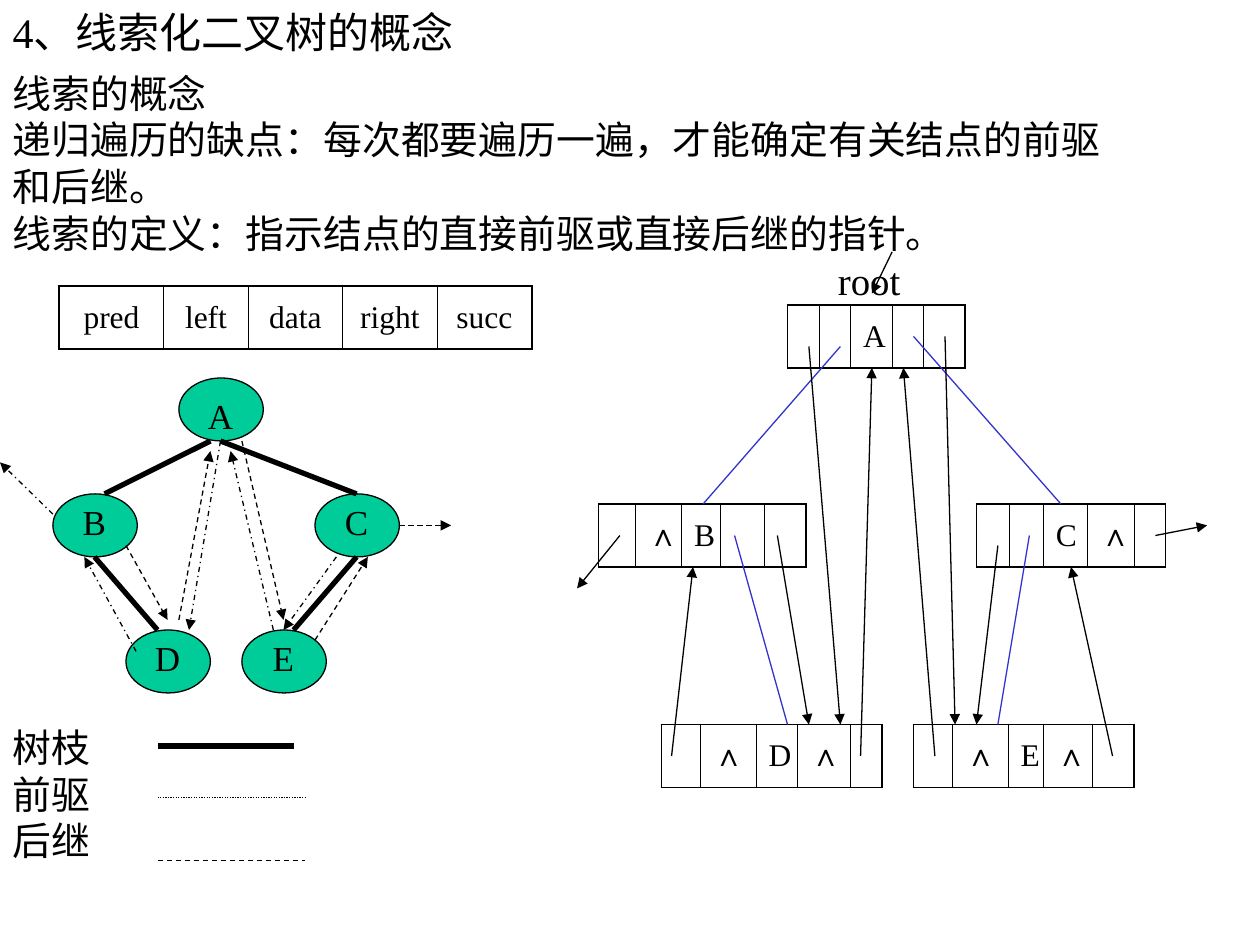
"""Builds the slide that introduces threaded binary trees."""
from lxml import etree
from pptx import Presentation
from pptx.dml.color import RGBColor
from pptx.enum.dml import MSO_LINE
from pptx.enum.shapes import MSO_CONNECTOR, MSO_SHAPE
from pptx.enum.text import MSO_ANCHOR, MSO_AUTO_SIZE, PP_ALIGN
from pptx.oxml.ns import qn
from pptx.util import Inches, Pt

BLACK = RGBColor(0x00, 0x00, 0x00)
GREEN = RGBColor(0x00, 0xCC, 0x99)
BLUE = RGBColor(0x33, 0x33, 0xCC)
FONT = "Times New Roman"
STRAIGHT = MSO_CONNECTOR.STRAIGHT
OVAL = MSO_SHAPE.OVAL
DASH, DASH_DOT, DOT = MSO_LINE.DASH, MSO_LINE.DASH_DOT, MSO_LINE.ROUND_DOT
MIDDLE, TOP = MSO_ANCHOR.MIDDLE, MSO_ANCHOR.TOP
LEFT, CENTER = PP_ALIGN.LEFT, PP_ALIGN.CENTER
NO_AUTOFIT = MSO_AUTO_SIZE.NONE
BODY_SIZE, LINE_PITCH = 22.2, 26.7
THICK, THIN = 3, 0.75
OUTER_BORDER, INNER_BORDER = 1.08, 0.45
ROW_HEIGHT = 0.5
NODE_WIDTH, NODE_HEIGHT = 0.67, 0.5

BODY_LINES = [
    ("线索的概念", 0, 0),
    ("递归遍历的缺点：每次都要遍历一遍，才能确定有关结点的前驱", 0, 0),
    ("和后继。", 0, 0),
    ("线索的定义：指示结点的直接前驱或直接后继的指针。", 0, 0),
    ("root", 6.55, 0),
    ("树枝", 0, 9),
    ("前驱", 0, 0),
    ("后继", 0, 0),
]
TREE_NODES = [
    ("A", 1.42, 3, 0.08), ("B", 0.42, 3.92, 0), ("C", 2.5, 3.92, 0),
    ("D", 1, 5, 0), ("E", 1.92, 5, 0),
]
BRANCHES = [
    (1.67, 3.5, 0.83, 3.92), (1.75, 3.5, 2.83, 3.92),
    (0.75, 4.42, 1.25, 5), (2.83, 4.42, 2.33, 5),
]
PREDECESSORS = [
    (0.42, 4.08, 0, 3.67), (1.08, 5.17, 0.67, 4.42), (1.75, 3.5, 1.5, 5),
    (2.17, 5, 1.83, 3.58), (2.67, 4.42, 2.25, 5),
]
SUCCESSORS = [
    (3.17, 4.17, 3.58, 4.17), (2.5, 5.08, 2.92, 4.42), (1.92, 3.5, 2.25, 4.92),
    (1.42, 4.92, 1.67, 3.58), (1, 4.33, 1.33, 4.92),
]
RECORDS = [
    (0.47, 2.27, [0.83, 0.67, 0.75, 0.75, 0.75], ["pred", "left", "data", "right", "succ"]),
    (6.25, 2.42, [0.25, 0.25, 0.33, 0.25, 0.33], ["", "", "A", "", ""]),
    (4.75, 4, [0.29, 0.37, 0.31, 0.35, 0.33], ["", "∧", "B", "", ""]),
    (7.75, 4, [0.26, 0.27, 0.35, 0.37, 0.25], ["", "", "C", "∧", ""]),
    (5.25, 5.75, [0.31, 0.44, 0.33, 0.42, 0.25], ["", "∧", "D", "∧", ""]),
    (7.25, 5.75, [0.31, 0.44, 0.28, 0.39, 0.33], ["", "∧", "E", "∧", ""]),
]
CHILD_LINKS = [
    (6.67, 2.75, 5.58, 4), (7.25, 2.67, 8.42, 4),
    (5.83, 4.25, 6.25, 5.75), (8.17, 4.25, 7.92, 5.75),
]
THREADS = [
    (6.17, 4.25, 6.42, 5.75), (5.33, 6, 5.5, 4.5), (6.83, 6, 6.92, 2.92),
    (6.42, 2.75, 6.67, 5.75), (7.42, 6, 7.17, 2.92), (8.83, 6, 8.5, 4.5),
    (7.92, 4.33, 7.75, 5.75), (7.5, 2.67, 7.58, 5.75), (4.92, 4.25, 4.58, 4.67),
    (9.17, 4.25, 9.58, 4.17), (7.08, 2, 6.92, 2.33),
]


class SlideBuilder:
    """Holds the text style and the current slide."""

    def __init__(self, slide, font=FONT, color=BLACK):
        self.slide = slide
        self.font = font
        self.color = color

    def add_text(self, paragraph, text, size, align=LEFT):
        """Add one styled run to a paragraph."""
        paragraph.alignment = align
        paragraph.font.size = Pt(size)
        if text:
            run = paragraph.add_run()
            run.text = text
            run.font.name = self.font
            run.font.size = Pt(size)
            run.font.color.rgb = self.color

    def place(self, shape, left, top, width, height, anchor):
        """Move a placeholder and return its text frame."""
        shape.left, shape.top = Inches(left), Inches(top)
        shape.width, shape.height = Inches(width), Inches(height)
        frame = shape.text_frame
        frame.auto_size = NO_AUTOFIT
        frame.vertical_anchor = anchor
        return frame

    def title(self, text):
        """Fill the title placeholder."""
        frame = self.place(self.slide.shapes.title, 0, 0, 8.5, 0.5, MIDDLE)
        self.add_text(frame.paragraphs[0], text, 24)

    def body(self, lines):
        """Fill the body placeholder with lines of (text, indent, skipped lines)."""
        frame = self.place(self.slide.placeholders[1], 0, 0.5, 9.75, 6.75, TOP)
        for index, (text, indent, skipped) in enumerate(lines):
            paragraph = frame.add_paragraph() if index else frame.paragraphs[0]
            properties = paragraph._p.get_or_add_pPr()
            properties.set("marL", str(Inches(indent)))
            properties.set("indent", "0")
            etree.SubElement(properties, qn("a:buNone"))
            paragraph.line_spacing = Pt(LINE_PITCH)
            paragraph.space_before = Pt(skipped * LINE_PITCH)
            self.add_text(paragraph, text, BODY_SIZE)

    def node(self, left, top):
        """Draw a tree node."""
        shape = self.slide.shapes.add_shape(
            OVAL, Inches(left), Inches(top), Inches(NODE_WIDTH), Inches(NODE_HEIGHT))
        shape.shadow.inherit = False
        shape.fill.solid()
        shape.fill.fore_color.rgb = GREEN
        shape.line.color.rgb = BLACK
        shape.line.width = Pt(THIN)

    def label(self, text, left, top):
        """Add the letter of a tree node."""
        box = self.slide.shapes.add_textbox(
            Inches(left), Inches(top), Inches(0.5), Inches(0.44))
        box.text_frame.word_wrap = True
        self.add_text(box.text_frame.paragraphs[0], text, 20, CENTER)

    def line(self, ends, color=BLACK, width=THIN, dash=None, arrow=False):
        """Draw a line, with an arrowhead at its end if asked."""
        connector = self.slide.shapes.add_connector(STRAIGHT, *map(Inches, ends))
        connector.line.color.rgb = color
        connector.line.width = Pt(width)
        if dash:
            connector.line.dash_style = dash
        if arrow:
            etree.SubElement(connector.line._get_or_add_ln(), qn("a:tailEnd"), type="triangle")
        etree.SubElement(connector._element.spPr, qn("a:effectLst"))

    def border(self, cell, side, width):
        """Draw one side of a cell."""
        line = etree.SubElement(cell._tc.get_or_add_tcPr(), qn(f"a:ln{side}"), w=str(Pt(width)))
        fill = etree.SubElement(line, qn("a:solidFill"))
        etree.SubElement(fill, qn("a:srgbClr"), val=str(BLACK))

    def record(self, left, top, widths, texts):
        """Draw a linked node as a table of one row."""
        table = self.slide.shapes.add_table(
            1, len(widths), Inches(left), Inches(top),
            Inches(sum(widths)), Inches(ROW_HEIGHT)).table
        table.first_row = table.horz_banding = False
        last = len(widths) - 1
        for index, (width, text) in enumerate(zip(widths, texts)):
            table.columns[index].width = Inches(width)
            cell = table.cell(0, index)
            cell.vertical_anchor = MIDDLE
            self.add_text(cell.text_frame.paragraphs[0], text, 18, CENTER)
            self.border(cell, "L", INNER_BORDER if index else OUTER_BORDER)
            self.border(cell, "R", INNER_BORDER if index < last else OUTER_BORDER)
            self.border(cell, "T", OUTER_BORDER)
            self.border(cell, "B", OUTER_BORDER)
            cell.fill.background()


def main():
    """Build and save the slide."""
    presentation = Presentation()
    presentation.slide_width, presentation.slide_height = Inches(10), Inches(7.5)
    builder = SlideBuilder(presentation.slides.add_slide(presentation.slide_layouts[1]))
    builder.title("4、线索化二叉树的概念")
    builder.body(BODY_LINES)
    for text, left, top, drop in TREE_NODES:
        builder.node(left, top)
        builder.label(text, left + 0.08, top + drop)
    for record in RECORDS:
        builder.record(*record)
    for lines, style in [
        (BRANCHES, {"width": THICK}),
        (PREDECESSORS, {"dash": DASH_DOT, "arrow": True}),
        (SUCCESSORS, {"dash": DASH, "arrow": True}),
        ([(1.25, 5.92, 2.33, 5.92)], {"width": THICK}),
        ([(1.25, 6.33, 2.42, 6.33)], {"dash": DOT}),
        ([(1.25, 6.83, 2.42, 6.83)], {"dash": DASH}),
        (CHILD_LINKS, {"color": BLUE}),
        (THREADS, {"arrow": True}),
    ]:
        for ends in lines:
            builder.line(ends, **style)
    presentation.save("out.pptx")


if __name__ == "__main__":
    main()
